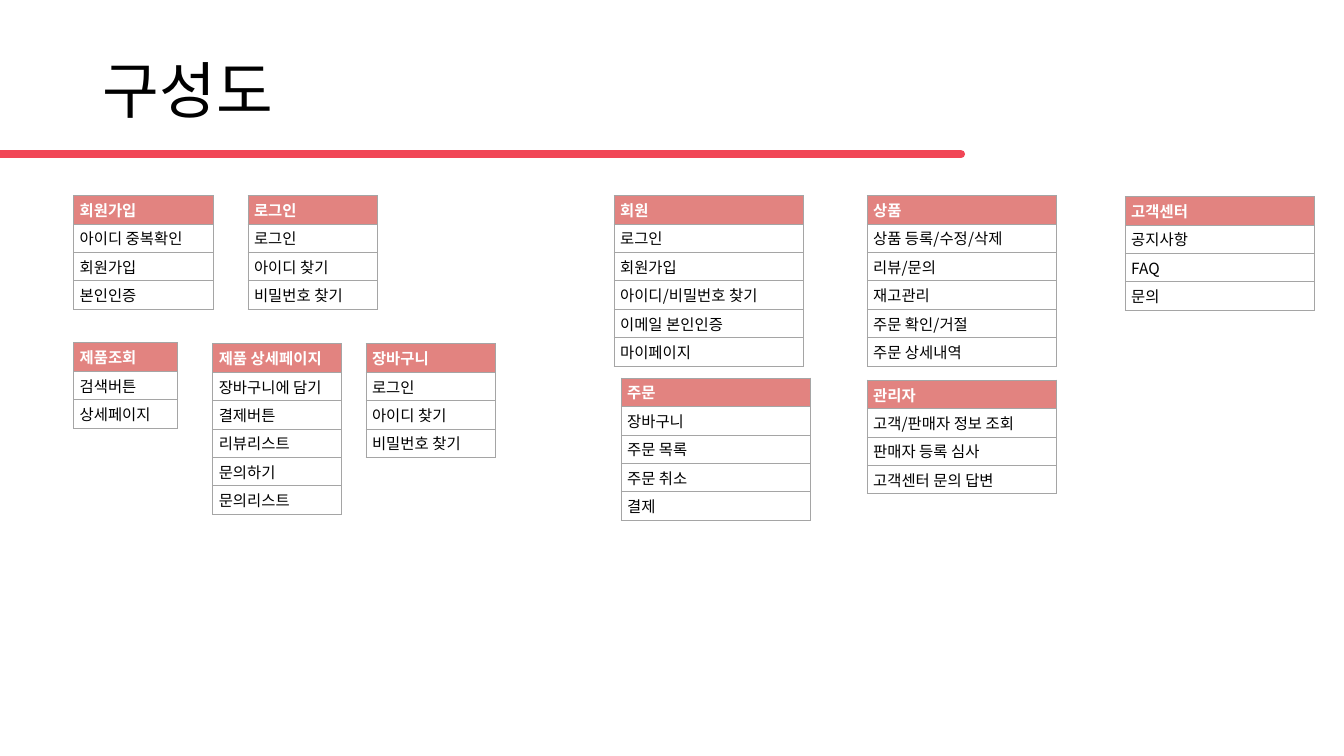
from pptx import Presentation
from pptx.dml.color import RGBColor
from pptx.enum.shapes import MSO_CONNECTOR
from pptx.enum.text import MSO_ANCHOR, MSO_AUTO_SIZE, PP_ALIGN
from pptx.oxml import parse_xml
from pptx.oxml.ns import nsdecls, qn
from pptx.util import Inches, Pt
from lxml.etree import SubElement

FONT = "Noto Sans CJK KR"
ROW_HEIGHT = 0.25
MENUS = [
    (0.73, 1.94, 1.39, ["회원가입", "아이디 중복확인", "회원가입", "본인인증"]),
    (2.46, 1.94, 1.28, ["로그인", "로그인", "아이디 찾기", "비밀번호 찾기"]),
    (0.73, 3.4, 1.03, ["제품조회", "검색버튼", "상세페이지"]),
    (2.11, 3.41, 1.28, ["제품 상세페이지", "장바구니에 담기", "결제버튼",
                        "리뷰리스트", "문의하기", "문의리스트"]),
    (3.63, 3.41, 1.28, ["장바구니", "로그인", "아이디 찾기", "비밀번호 찾기"]),
    (6.09, 1.94, 1.88, ["회원", "로그인", "회원가입", "아이디/비밀번호 찾기",
                        "이메일 본인인증", "마이페이지"]),
    (8.6, 3.77, 1.88, ["관리자", "고객/판매자 정보 조회", "판매자 등록 심사",
                       "고객센터 문의 답변"]),
    (6.16, 3.75, 1.88, ["주문", "장바구니", "주문 목록", "주문 취소", "결제"]),
    (8.6, 1.94, 1.88, ["상품", "상품 등록/수정/삭제", "리뷰/문의", "재고관리",
                       "주문 확인/거절", "주문 상세내역"]),
    (11.16, 1.95, 1.88, ["고객센터", "공지사항", "FAQ", "문의"]),
]


def color(value):
    return RGBColor.from_string(value)


def apply(target, values):
    for name, value in values.items():
        setattr(target, name, value)


def write(frame, text, size, shade, bold=False):
    para = frame.paragraphs[0]
    para.alignment = PP_ALIGN.LEFT
    span = para.add_run()
    span.text = text
    apply(span.font, {"name": FONT, "size": Pt(size), "bold": bold})
    span.font.color.rgb = color(shade)
    SubElement(span.font._element, qn("a:ea")).set("typeface", FONT)
    return para


def add_title(page, left, top, width, height):
    title = page.shapes.title
    apply(title, {"left": Inches(left), "top": Inches(top),
                  "width": Inches(width), "height": Inches(height)})
    apply(title.text_frame, {"vertical_anchor": MSO_ANCHOR.MIDDLE, "word_wrap": True,
                             "auto_size": MSO_AUTO_SIZE.NONE})
    write(title.text_frame, "구성도", 44, "000000").line_spacing = 0.9


def add_rule(page, left, top, width):
    rule = page.shapes.add_connector(
        MSO_CONNECTOR.STRAIGHT, Inches(left), Inches(top), Inches(left + width), Inches(top))
    rule.line.color.rgb = color("F14656")
    rule.line.width = Pt(6)
    properties = rule._element.spPr
    properties.find(qn("a:ln")).set("cap", "rnd")
    SubElement(properties, qn("a:effectLst"))


def add_borders(cell):
    properties = cell._tc.get_or_add_tcPr()
    for index, side in enumerate(("lnL", "lnR", "lnT", "lnB")):
        properties.insert(index, parse_xml(
            f'<a:{side} {nsdecls("a")} w="{Pt(0.5)}"><a:solidFill>'
            f'<a:srgbClr val="A5A5A5"/></a:solidFill></a:{side}>'))


def add_menu(page, left, top, width, labels):
    table = page.shapes.add_table(
        len(labels), 1, Inches(left), Inches(top), Inches(width),
        Inches(ROW_HEIGHT * len(labels))).table
    apply(table, {"first_row": False, "horz_banding": False})
    for index, label in enumerate(labels):
        table.rows[index].height = Inches(ROW_HEIGHT)
        cell = table.cell(index, 0)
        apply(cell, {"margin_left": Inches(0.06), "margin_right": Inches(0.06),
                     "margin_top": Inches(0.03), "margin_bottom": Inches(0.03)})
        is_header = index == 0
        if is_header:
            cell.fill.solid()
            cell.fill.fore_color.rgb = color("E28380")
        else:
            cell.fill.background()
        add_borders(cell)
        write(cell.text_frame, label, 11, "FFFFFF" if is_header else "000000", is_header)


def main():
    deck = Presentation()
    apply(deck, {"slide_width": Inches(13.33), "slide_height": Inches(7.5)})
    page = deck.slides.add_slide(deck.slide_layouts[5])
    add_rule(page, 0, 1.53, 9.53)
    add_title(page, 0.92, 0.4, 11.5, 1.06)
    for menu in MENUS:
        add_menu(page, *menu)
    deck.save("out.pptx")


if __name__ == "__main__":
    main()
